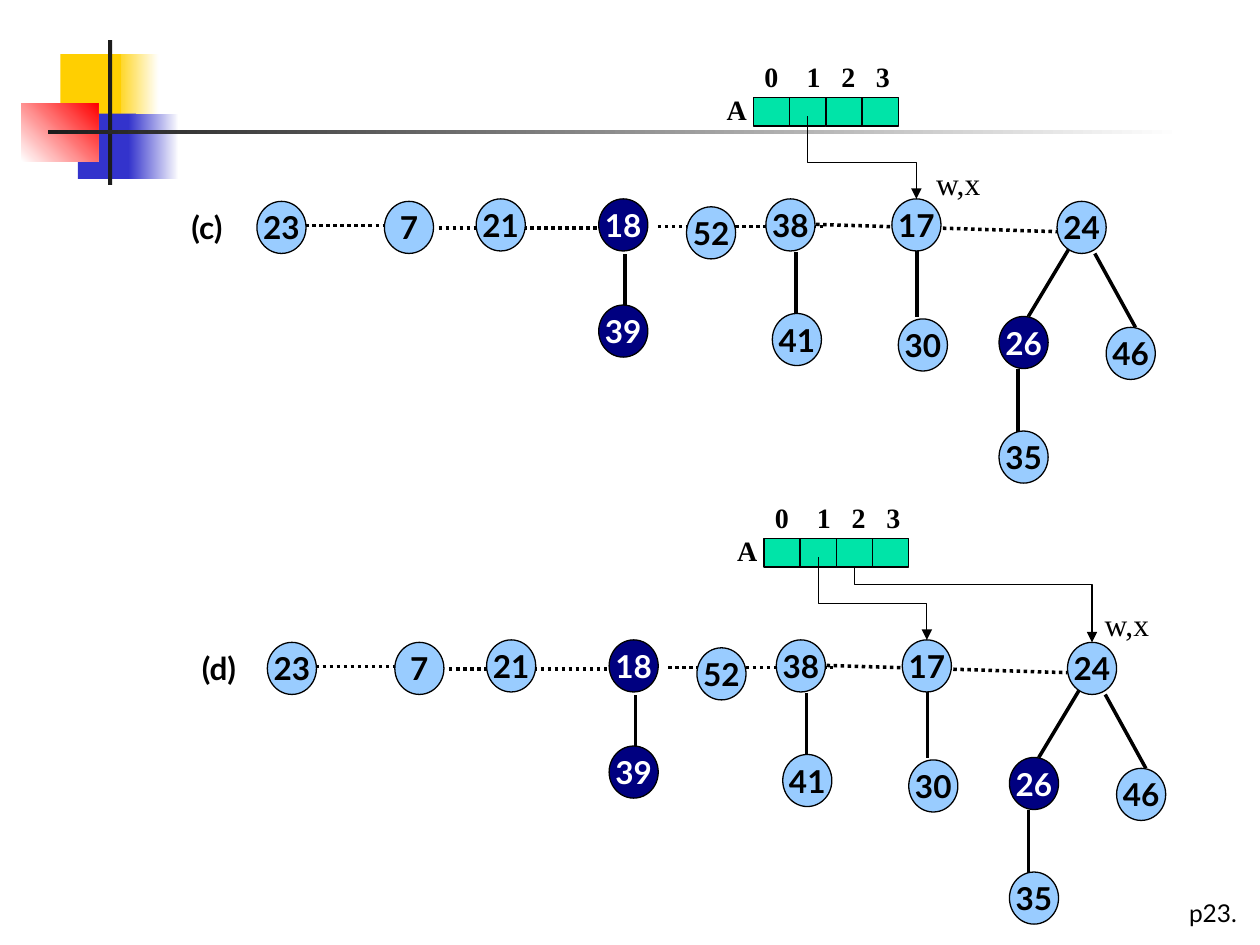
from dataclasses import dataclass

from lxml.etree import SubElement
from pptx import Presentation
from pptx.dml.color import RGBColor as Color
from pptx.enum.dml import MSO_LINE
from pptx.enum.shapes import MSO_CONNECTOR as Link, MSO_SHAPE as Form
from pptx.enum.text import MSO_ANCHOR as Anchor, PP_ALIGN as Align
from pptx.oxml.ns import qn
from pptx.util import Cm, Pt


@dataclass(frozen=True)
class Theme:
    black: str = "000000"
    white: str = "FFFFFF"
    light: str = "99CCFF"
    marked: str = "000080"
    green: str = "00E4A8"
    yellow: str = "FFCF01"
    blue: str = "3333CC"
    red: str = "FF0000"
    dark: str = "1C1C1C"
    sans: str = "Lato"
    serif: str = "Times New Roman"
    label: int = 18
    index: int = 16
    footer: int = 14
    thin: float = 0.75
    thick: float = 2


theme = Theme()

DECOR = [
    (2.29, 1.09, 0.91, 1.32, (theme.yellow, theme.white), 0),
    (1.22, 1.09, 1.22, 1.32, (theme.yellow,), 0),
    (1.57, 2.29, 1.17, 1.32, (theme.blue,), 0),
    (2.59, 2.29, 1.02, 1.32, (theme.blue, theme.white), 0),
    (0.43, 2.08, 1.55, 1.17, (theme.white, theme.red), 45),
    (2.18, 0.81, 0.08, 2.92, (theme.dark,), 0),
    (0.97, 2.62, 22.86, 0.08, (theme.dark, theme.white), 0),
]
NODES = {
    "23": (5.18, 4.06), "7": (7.75, 4.06), "21": (9.6, 4.01),
    "18": (12.07, 4.01), "52": (13.84, 4.17), "38": (15.44, 4.01),
    "17": (17.98, 4.01), "24": (21.31, 4.06), "39": (12.07, 6.15),
    "41": (15.57, 6.32), "30": (18.11, 6.43), "26": (20.14, 6.38),
    "46": (22.3, 6.6), "35": (20.14, 8.69),
}
MARKED = {"18", "39", "26"}
ROOT_LINKS = [
    (6.15, 4.55, 7.75, 4.55), (8.84, 4.6, 12.07, 4.6),
    (13.26, 4.57, 16.59, 4.57), (16.31, 4.52, 21.31, 4.67),
]
CHILD_LINKS = [
    (12.6, 5.13, 12.6, 6.17), (16.05, 5.08, 16.05, 6.35),
    (18.49, 5.03, 18.49, 6.4), (21.54, 5.03, 20.73, 6.38),
    (22.07, 5.11, 22.89, 6.6), (20.52, 7.44, 20.52, 8.71),
]
STEPS = [
    {"name": "(c)", "shift": (0, 0), "pointer": 18.62,
     "arrows": [(1, "17", 0.5)]},
    {"name": "(d)", "shift": (0.21, 8.89), "pointer": 21.81,
     "arrows": [(1, "17", 0.5), (2, "24", 0.23)]},
]
NODE_WIDTH, NODE_HEIGHT = 0.99, 1.05
CELL_LEFT, CELL_TOP, CELL_WIDTH, CELL_HEIGHT = 15.19, 1.96, 0.73, 0.58
INDEX_TABS = (0.85, 1.55, 2.25)


def write(shape, text, size, font, color, bold=True, align=Align.LEFT, tabs=()):
    frame = shape.text_frame
    frame.word_wrap = False
    para = frame.paragraphs[0]
    para.text = text
    para.alignment = align
    if tabs:
        stops = SubElement(para._p.get_or_add_pPr(), qn("a:tabLst"))
        for stop in tabs:
            SubElement(stops, qn("a:tab"), pos=str(Cm(stop)), algn="l")
    para.font.size = Pt(size)
    para.font.name = font
    para.font.bold = bold
    para.font.color.rgb = Color.from_string(color)


def add_label(page, left, top, width, height, text, size, font, **style):
    box = page.shapes.add_textbox(Cm(left), Cm(top), Cm(width), Cm(height))
    write(box, text, size, font, theme.black, **style)


def add_form(page, form, left, top, width, height, colors, angle=0, outlined=True):
    shape = page.shapes.add_shape(form, Cm(left), Cm(top), Cm(width), Cm(height))
    shape.shadow.inherit = False
    if len(colors) > 1:
        shape.fill.gradient()
        shape.fill.gradient_angle = angle
        for stop, color in zip(shape.fill.gradient_stops, colors):
            stop.color.rgb = Color.from_string(color)
    else:
        shape.fill.solid()
        shape.fill.fore_color.rgb = Color.from_string(colors[0])
    if outlined:
        shape.line.color.rgb = Color.from_string(theme.black)
        shape.line.width = Pt(theme.thin)
    else:
        shape.line.fill.background()
    return shape


def add_link(page, x1, y1, x2, y2, weight, kind=Link.STRAIGHT):
    link = page.shapes.add_connector(kind, Cm(x1), Cm(y1), Cm(x2), Cm(y2))
    link.line.color.rgb = Color.from_string(theme.black)
    link.line.width = Pt(weight)
    SubElement(link._element.spPr, qn("a:effectLst"))
    return link


def add_arrow(page, x1, y1, x2, y2, bend):
    middle_x, middle_y = (x1 + x2) / 2, (y1 + y2) / 2
    half_x, half_y = (x2 - x1) / 2, (y2 - y1) / 2
    arrow = add_link(page, middle_x + half_y, middle_y - half_x,
                     middle_x - half_y, middle_y + half_x, theme.thin, Link.ELBOW)
    properties = arrow._element.spPr
    properties.find(qn("a:xfrm")).set("rot", str(270 * 60000))
    guides = properties.find(qn("a:prstGeom")).find(qn("a:avLst"))
    SubElement(guides, qn("a:gd"), name="adj1", fmla=f"val {round(bend * 100000)}")
    SubElement(properties.find(qn("a:ln")), qn("a:tailEnd"), type="triangle")


def add_heap(page, step):
    dx, dy = step["shift"]
    for links, dashed in ((ROOT_LINKS, True), (CHILD_LINKS, False)):
        for x1, y1, x2, y2 in links:
            link = add_link(page, x1 + dx, y1 + dy, x2 + dx, y2 + dy, theme.thick)
            if dashed:
                link.line.dash_style = MSO_LINE.ROUND_DOT
    for key, (left, top) in NODES.items():
        fill, ink = ((theme.marked, theme.white) if key in MARKED
                     else (theme.light, theme.black))
        node = add_form(page, Form.OVAL, left + dx, top + dy,
                        NODE_WIDTH, NODE_HEIGHT, (fill,))
        node.text_frame.vertical_anchor = Anchor.MIDDLE
        write(node, key, theme.label, theme.sans, ink, align=Align.CENTER)
    add_label(page, 3.61 + dx, 4.06 + dy, 1.42, 1.02, step["name"],
              theme.label, theme.sans)


def add_array(page, step):
    dx, dy = step["shift"]
    cells = [add_form(page, Form.RECTANGLE, CELL_LEFT + column * CELL_WIDTH + dx,
                      CELL_TOP + dy, CELL_WIDTH, CELL_HEIGHT, (theme.green,))
             for column in range(4)]
    add_label(page, 15.16 + dx, 1.07 + dy, 3.23, 0.94, "0\t1\t2\t3",
              theme.index, theme.serif, tabs=INDEX_TABS)
    add_label(page, 14.4 + dx, 1.75 + dy, 0.91, 0.94, "A", theme.index, theme.serif)
    bottom = CELL_TOP + CELL_HEIGHT + dy
    for column, key, bend in step["arrows"]:
        start = CELL_LEFT + (column + 0.5) * CELL_WIDTH + dx
        left, top = NODES[key]
        add_arrow(page, start, bottom, left + NODE_WIDTH / 2 + dx, top + dy, bend)
    middle = CELL_LEFT + 1.5 * CELL_WIDTH + dx
    stub = add_link(page, middle, bottom - 0.2, middle, bottom, theme.thin)
    stub.end_connect(cells[1], 2)
    add_label(page, step["pointer"] + dx, 3.18 + dy, 1.45, 1.02, "w,x",
              theme.label, theme.serif, bold=False)


def main():
    deck = Presentation()
    deck.slide_width, deck.slide_height = Cm(25.4), Cm(19.05)
    page = deck.slides.add_slide(deck.slide_layouts[6])
    for left, top, width, height, colors, angle in DECOR:
        add_form(page, Form.RECTANGLE, left, top, width, height, colors, angle, False)
    add_label(page, 23.72, 17.98, 1.68, 0.84, "p23.", theme.footer, theme.sans,
              bold=False)
    for step in STEPS:
        add_heap(page, step)
        add_array(page, step)
    deck.save("out.pptx")


if __name__ == "__main__":
    main()
